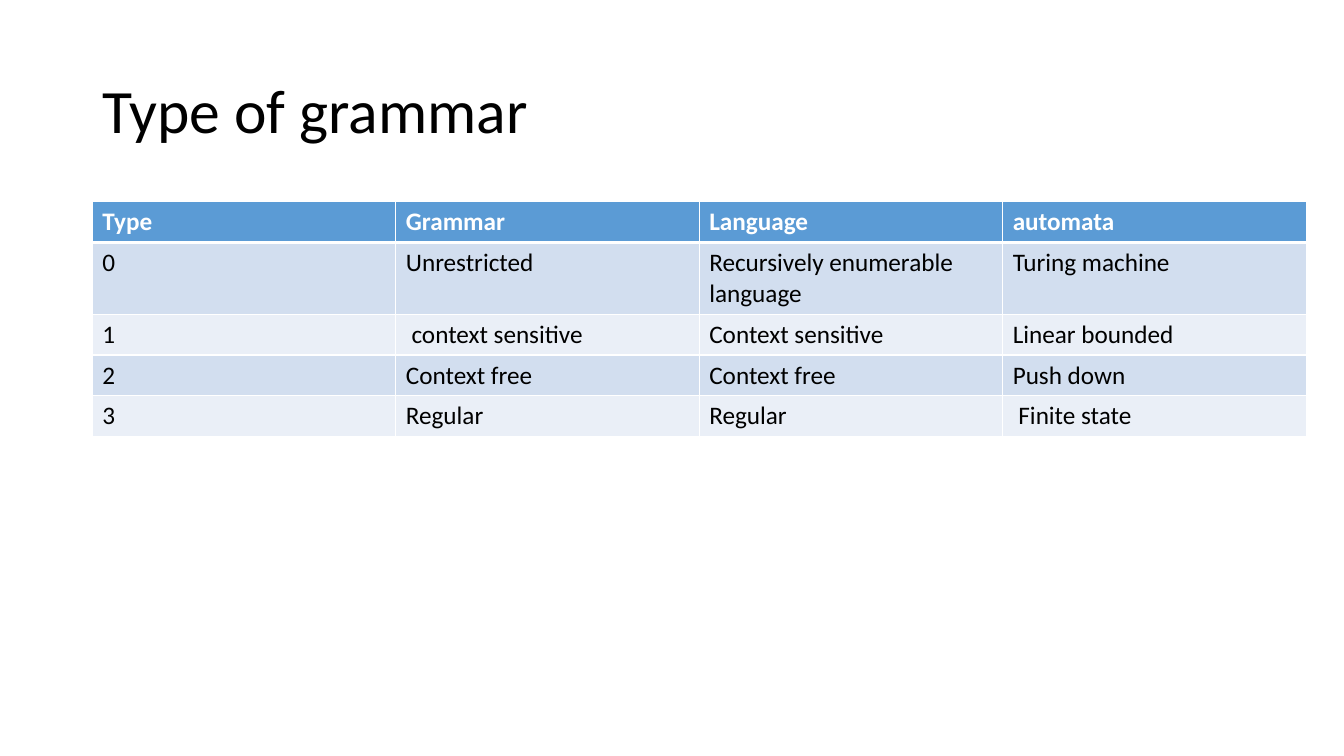
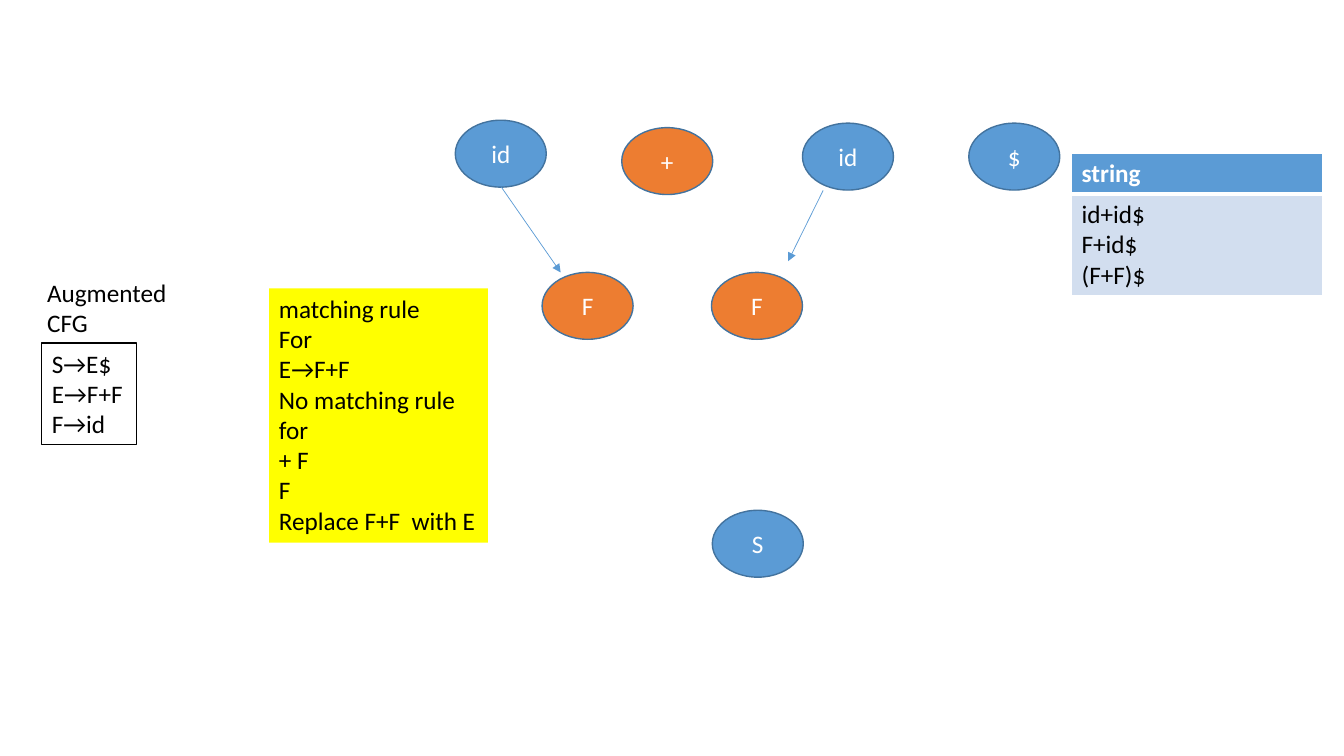
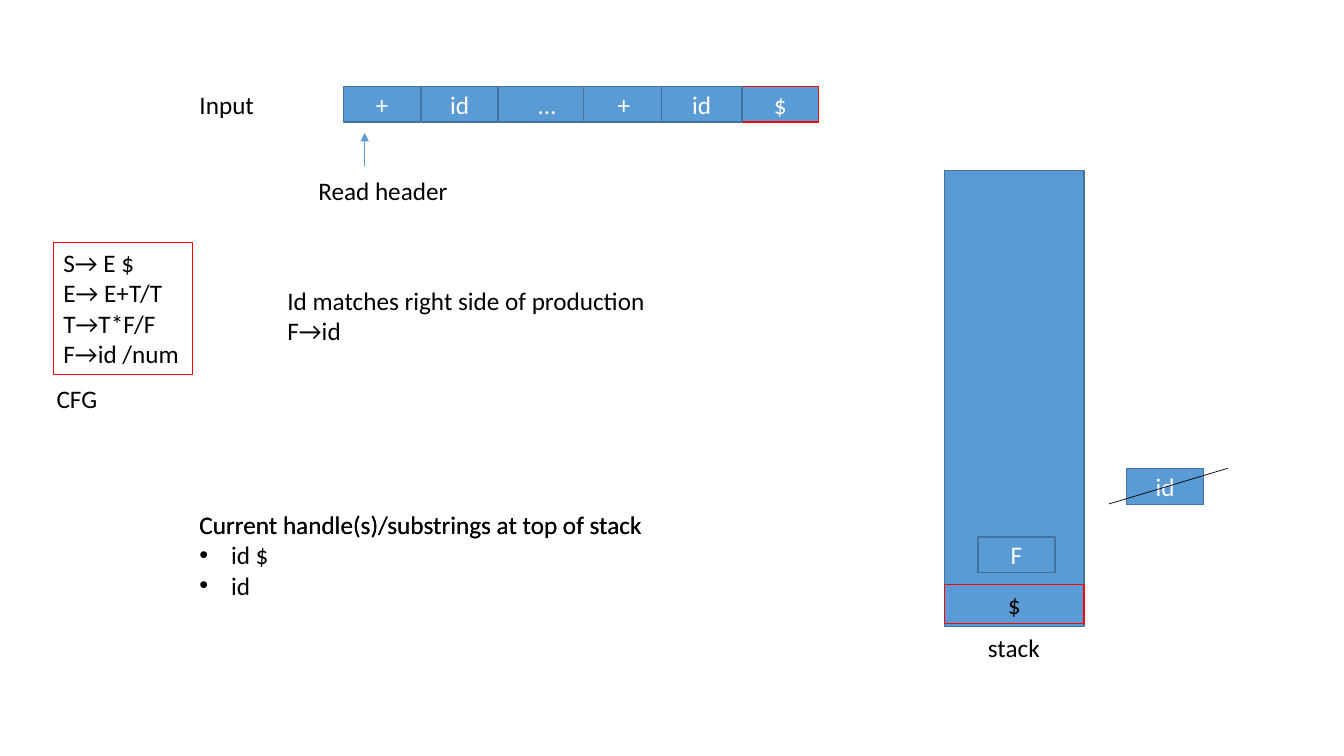
import pptx
import pptx.util
import pptx.dml.color
import pptx.enum.shapes
import pptx.enum.text
import pptx.oxml
import pptx.oxml.ns
import lxml.etree

Pt = pptx.util.Pt
Color = pptx.dml.color.RGBColor.from_string
Shape = pptx.enum.shapes.MSO_SHAPE
Align = pptx.enum.text.PP_ALIGN
qn = pptx.oxml.ns.qn


class Theme:
    font = "Calibri"
    title_size = Pt(44)
    body_size = Pt(18)
    black = Color("000000")
    white = Color("FFFFFF")
    blue = Color("5B9BD5")
    outline = Color("43739E")
    orange = Color("ED7D31")
    yellow = Color("FFFF00")
    red = Color("FF0000")
    bands = [Color("D2DEEF"), Color("EAEFF7")]


def add_label(page, at, lines, fill=None, line=None, wrap=False):
    box = page.shapes.add_textbox(*map(Pt, at))
    box.text_frame.text = "\n".join(lines)
    box.text_frame.word_wrap = wrap
    box.text_frame.auto_size = pptx.enum.text.MSO_AUTO_SIZE.SHAPE_TO_FIT_TEXT
    if fill is not None:
        box.fill.solid()
        box.fill.fore_color.rgb = fill
    if line is not None:
        box.line.color.rgb = line
        box.line.width = Pt(0.75)
    for para in box.text_frame.paragraphs:
        para.font.name = Theme.font
        para.font.size = Theme.body_size
        para.font.color.rgb = Theme.black
    return box


def add_node(page, kind, at, text, fill=Theme.blue, line=Theme.outline, ink=Theme.white):
    node = page.shapes.add_shape(kind, *map(Pt, at))
    node.shadow.inherit = False
    node.fill.solid()
    node.fill.fore_color.rgb = fill
    node.line.color.rgb = line
    node.line.width = Pt(1)
    node.text_frame.text = text
    para = node.text_frame.paragraphs[0]
    para.alignment = Align.CENTER
    para.font.name = Theme.font
    para.font.size = Theme.body_size
    para.font.color.rgb = ink


deck = pptx.Presentation()
deck.slide_width, deck.slide_height = Pt(960), Pt(540)
title_only, blank = deck.slide_layouts[5], deck.slide_layouts[6]

grammar_page = deck.slides.add_slide(title_only)
title = grammar_page.shapes.title
title.left, title.top, title.width, title.height = map(Pt, (66, 28.75, 828, 104.4))
title.text_frame.text = "Type of grammar"
title_para = title.text_frame.paragraphs[0]
title_para.alignment = Align.LEFT
title_para.line_spacing = 0.9
title_para.font.name = Theme.font
title_para.font.size = Theme.title_size
title_para.font.color.rgb = Theme.black

tree_page = deck.slides.add_slide(blank)
add_label(tree_page, (30, 245, 67.3, 72.7), ["S→E$", "E→F+F", "F→id"], line=Theme.black)
add_label(tree_page, (26.6, 194.4, 122, 51), ["Augmented", "CFG"], wrap=True)
add_label(
    tree_page,
    (192.2, 206, 156.4, 181.7),
    ["matching rule", "For", "E→F+F", "No matching rule", "for", "+ F", "F", "Replace F+F  with E"],
    fill=Theme.yellow,
)
for left, top, text, fill in [
    (325.2, 85.9, "id", Theme.blue),
    (444.1, 91.2, "+", Theme.orange),
    (573.2, 88, "id", Theme.blue),
    (692, 88, "$", Theme.blue),
    (387.2, 194.6, "F", Theme.orange),
    (508.2, 194.6, "F", Theme.orange),
    (508.8, 364.5, "S", Theme.blue),
]:
    add_node(tree_page, Shape.OVAL, (left, top, 65, 47.8), text, fill)

stack_page = deck.slides.add_slide(blank)
for at, text, line, ink in [
    ((674.5, 121.6, 99.8, 325.8), "", Theme.outline, Theme.white),
    ((674.5, 417.5, 99.8, 28), "$", Theme.red, Theme.black),
    ((698.5, 383.7, 55, 25.4), "F", Theme.outline, Theme.white),
    ((804.8, 334.8, 55, 25.4), "id", Theme.outline, Theme.white),
]:
    add_node(stack_page, Shape.RECTANGLE, at, text, line=line, ink=ink)
for left, width, text, line in [
    (245.3, 55, "+", Theme.outline),
    (300.9, 55, "id", Theme.outline),
    (529.8, 55, "$", Theme.red),
    (355.9, 69.8, "…", Theme.outline),
    (416.9, 57.6, "+", Theme.outline),
    (472.4, 57.6, "id", Theme.outline),
]:
    add_node(stack_page, Shape.RECTANGLE, (left, 61.9, width, 25.2), text, line=line)

handle_heading = "Current handle(s)/substrings at top of stack"
for at, lines in [
    ((698.5, 448, 51.8, 29), ["stack"]),
    ((135.4, 60, 54, 29), ["Input"]),
    ((33.3, 270.5, 44, 29), ["CFG"]),
    ((220.3, 121.7, 108, 29), ["Read header"]),
    ((198.2, 200.2, 273, 51), ["Id matches right side of production", "F→id"]),
    ((135.4, 360.3, 334, 29), [handle_heading]),
]:
    add_label(stack_page, at, lines)
add_label(
    stack_page,
    (38.2, 173.2, 99.4, 94.5),
    ["S→ E $", "E→ E+T/T", "T→T*F/F", "F→id /num"],
    fill=Theme.white,
    line=Theme.red,
)
handles = add_label(stack_page, (135.4, 360.3, 334, 72.7), [handle_heading, "id $", "id"])
for para in handles.text_frame.paragraphs[1:]:
    properties = para._p.get_or_add_pPr()
    properties.set("marL", str(Pt(22.5)))
    properties.set("indent", str(-Pt(22.5)))
    bullet_font = pptx.oxml.parse_xml(
        '<a:buFont xmlns:a="http://schemas.openxmlformats.org/drawingml/2006/main" typeface="Arial"/>'
    )
    properties.insert(0, bullet_font)
    bullet = lxml.etree.Element(qn("a:buChar"), char="•")
    bullet_font.addnext(bullet)

for page, ends, color, has_head in [
    (tree_page, (358, 133.5, 400.5, 194.6), Theme.blue, True),
    (tree_page, (588, 136, 563, 186.5), Theme.blue, True),
    (stack_page, (260.5, 118.3, 260.5, 95), Theme.blue, True),
    (stack_page, (877, 334.5, 792, 360), Theme.black, False),
]:
    link = page.shapes.add_connector(pptx.enum.shapes.MSO_CONNECTOR.STRAIGHT, *map(Pt, ends))
    link.line.color.rgb = color
    link.line.width = Pt(0.5)
    if has_head:
        lxml.etree.SubElement(link.line._get_or_add_ln(), qn("a:tailEnd"), type="triangle")
    lxml.etree.SubElement(link._element.spPr, qn("a:effectLst"))

grammar_rows = [
    ["Type", "Grammar", "Language", "automata"],
    ["0", "Unrestricted", "Recursively enumerable language", "Turing machine"],
    ["1", " context sensitive", "Context sensitive", "Linear bounded"],
    ["2", "Context free", "Context free", "Push down"],
    ["3", "Regular", "Regular", " Finite state"],
]
string_rows = [["string"], ["id+id$\nF+id$\n(F+F)$"]]
for page, left, top, width, heights, rows in [
    (grammar_page, 66, 144, 867, [29.2, 50.4, 29.2, 29.2, 29.2], grammar_rows),
    (tree_page, 765.4, 109.5, 179.2, [29.2, 72.3], string_rows),
]:
    frame = page.shapes.add_table(
        len(rows), len(rows[0]), Pt(left), Pt(top), Pt(width), Pt(sum(heights))
    )
    table = frame.table
    for row_index, texts in enumerate(rows):
        is_header = row_index == 0
        table.rows[row_index].height = Pt(heights[row_index])
        for column_index, text in enumerate(texts):
            cell = table.cell(row_index, column_index)
            cell.text = text
            cell.fill.solid()
            cell.fill.fore_color.rgb = Theme.blue if is_header else Theme.bands[(row_index - 1) % 2]
            for para in cell.text_frame.paragraphs:
                para.font.name = Theme.font
                para.font.size = Theme.body_size
                para.font.bold = is_header
                para.font.color.rgb = Theme.white if is_header else Theme.black
            for position, side in enumerate("LRTB"):
                thick = (row_index, side) in [(0, "B"), (1, "T")]
                border = lxml.etree.Element(qn("a:ln" + side), w=str(Pt(3 if thick else 1)))
                paint = lxml.etree.SubElement(border, qn("a:solidFill"))
                lxml.etree.SubElement(paint, qn("a:srgbClr"), val=str(Theme.white))
                cell._tc.get_or_add_tcPr().insert(position, border)

deck.save("out.pptx")
